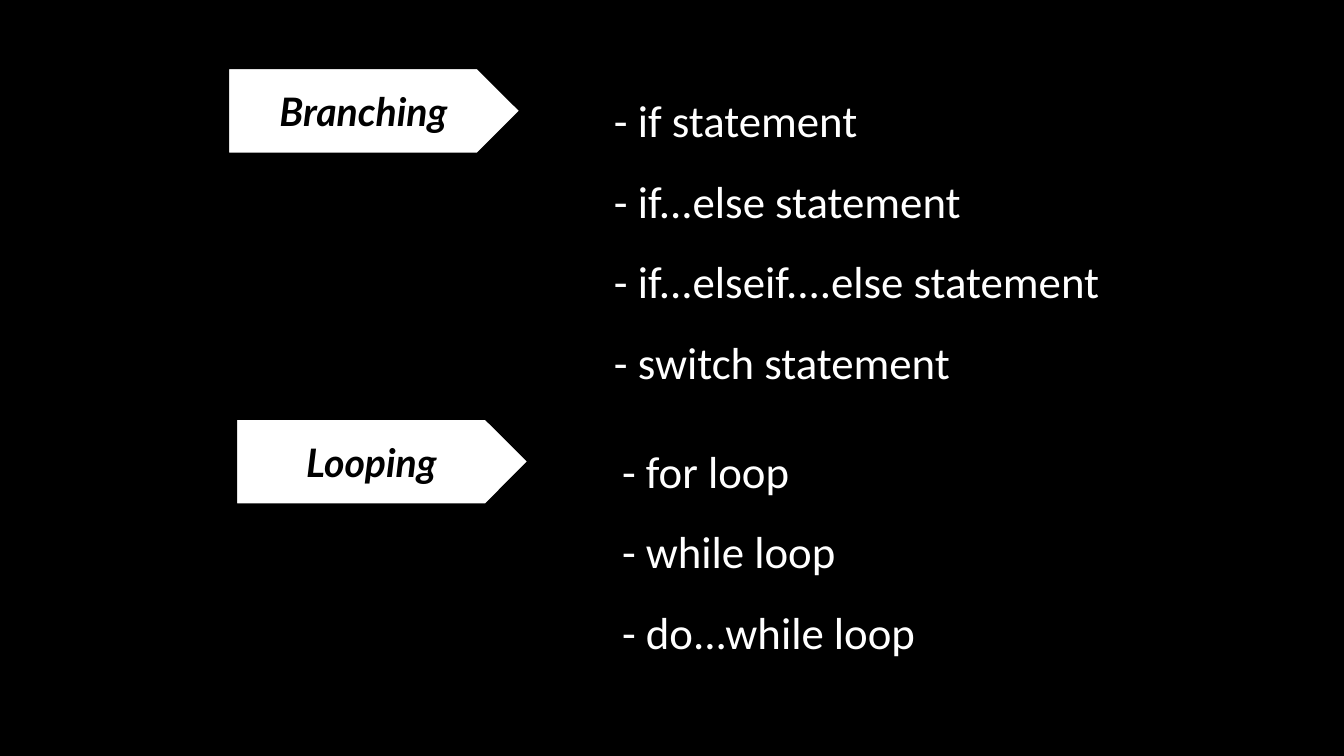
"""Build a slide listing branching and looping statements."""

from pptx import Presentation
from pptx.dml.color import RGBColor
from pptx.enum.shapes import MSO_SHAPE
from pptx.enum.text import MSO_ANCHOR, MSO_AUTO_SIZE, PP_ALIGN
from pptx.util import Inches, Pt

COLORS = {"black": "000000", "white": "FFFFFF"}

GROUPS = [
    ("Branching", 1.69, 0.5, 3.83, 2.52,
     ["if statement", "if...else statement",
      "if...elseif....else statement", "switch statement"]),
    ("Looping", 1.75, 3.11, 2.38, 1.92,
     ["for loop", "while loop", "do...while loop"]),
]


def color(name):
    return RGBColor.from_string(COLORS[name])


def add_span(para, text, font, size, ink):
    span = para.add_run()
    span.text = text
    span.font.name = font
    span.font.size = Pt(size)
    span.font.color.rgb = color(ink)
    return span


def add_label(page, text, left, top):
    label = page.shapes.add_shape(
        MSO_SHAPE.PENTAGON, Inches(left), Inches(top), Inches(2.19), Inches(0.65))
    label.shadow.inherit = False
    label.fill.solid()
    label.fill.fore_color.rgb = color("white")
    label.line.color.rgb = color("black")
    label.line.width = Pt(2)
    label.text_frame.vertical_anchor = MSO_ANCHOR.MIDDLE
    para = label.text_frame.paragraphs[0]
    para.alignment = PP_ALIGN.CENTER
    span = add_span(para, text, "Lato", 21, "black")
    span.font.bold = True
    span.font.italic = True


def add_statements(page, statements, left, top, width, height):
    box = page.shapes.add_textbox(
        Inches(left), Inches(top), Inches(width), Inches(height))
    frame = box.text_frame
    frame.word_wrap = False
    frame.auto_size = MSO_AUTO_SIZE.SHAPE_TO_FIT_TEXT
    for index, statement in enumerate(statements):
        para = frame.add_paragraph() if index else frame.paragraphs[0]
        para.line_spacing = 1.5
        add_span(para, f"- {statement}", "Calibri", 24, "white")


def main():
    deck = Presentation()
    deck.slide_width = Inches(10)
    deck.slide_height = Inches(10 * 9 / 16)
    page = deck.slides.add_slide(deck.slide_layouts[6])
    page.background.fill.solid()
    page.background.fill.fore_color.rgb = color("black")
    for title, left, top, width, height, statements in GROUPS:
        add_label(page, title, left, top)
        add_statements(page, statements, left + 2.78, top - 0.06, width, height)
    deck.save("out.pptx")


if __name__ == "__main__":
    main()
